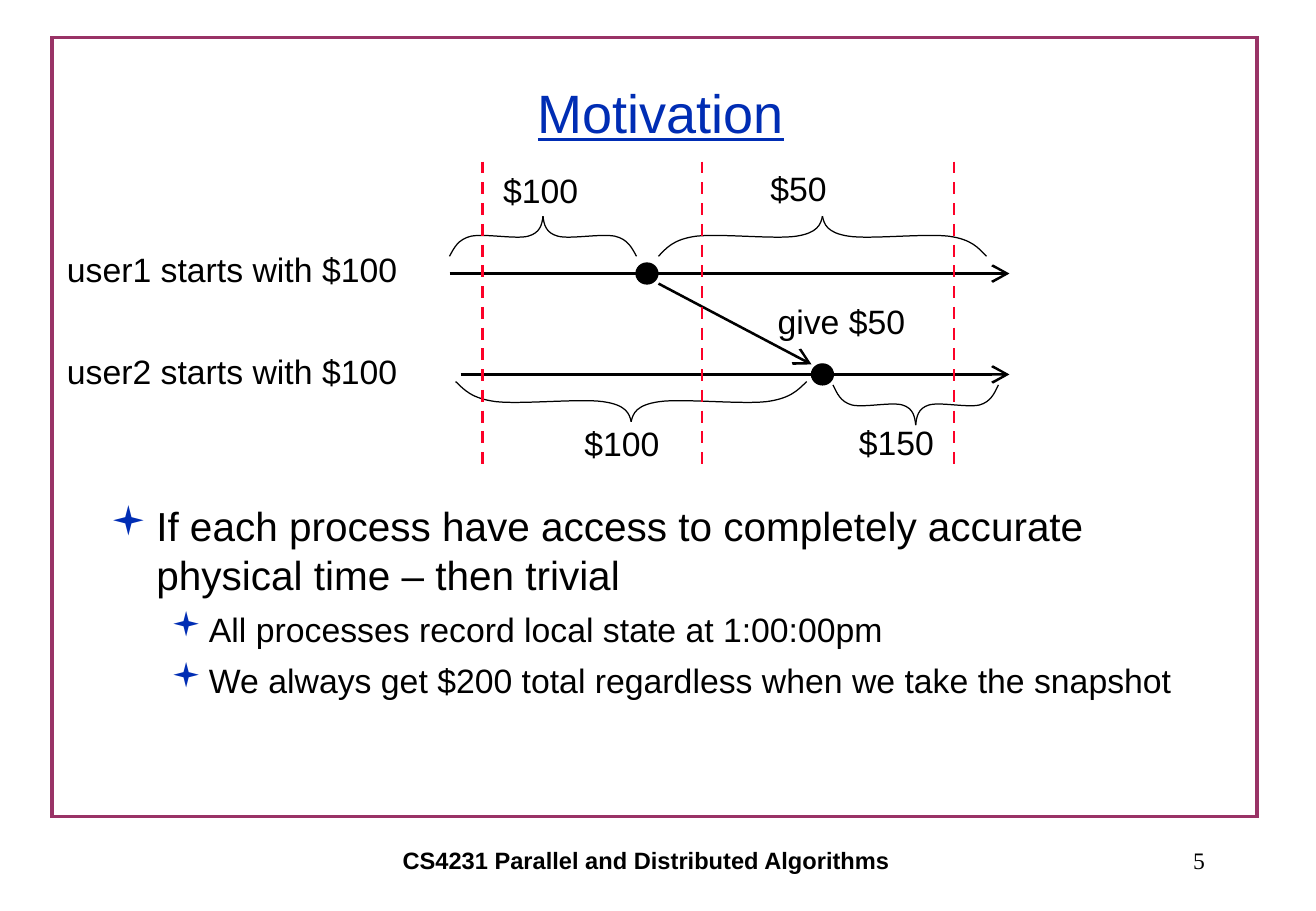
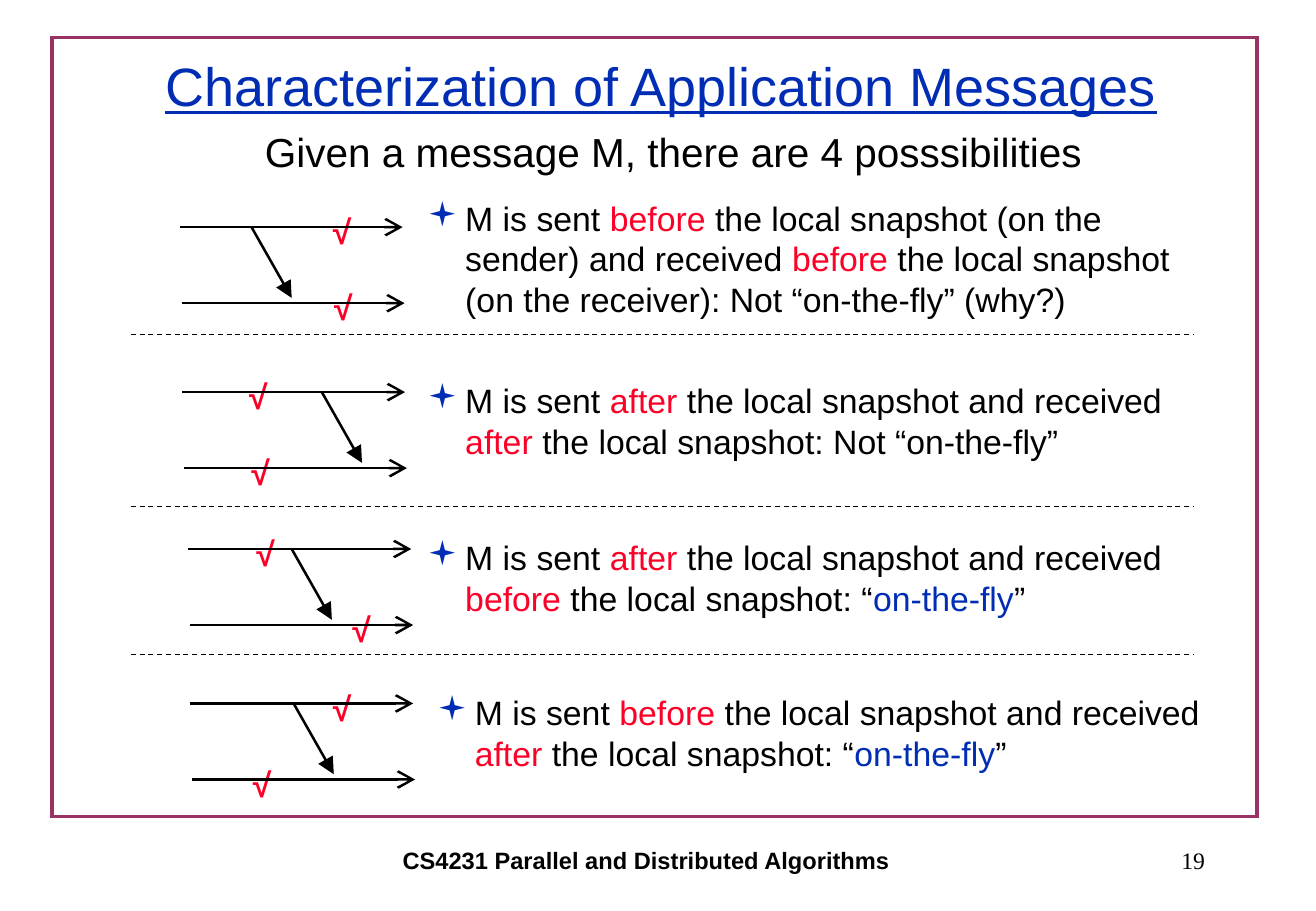
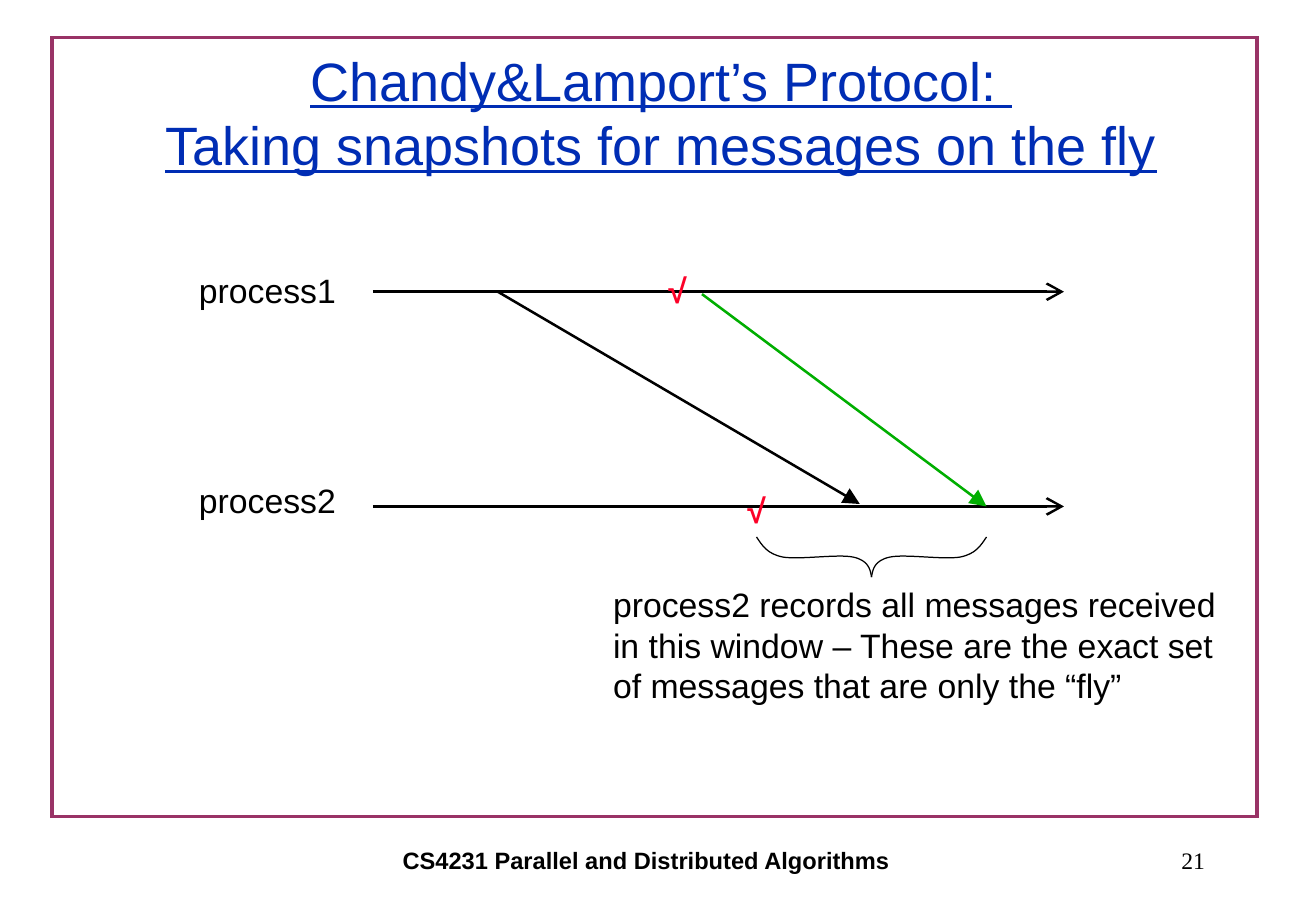
from pptx import Presentation
from pptx.dml.color import RGBColor
from pptx.enum.dml import MSO_LINE_DASH_STYLE as Dash
from pptx.enum.shapes import MSO_CONNECTOR as Connector, MSO_SHAPE as Shape
from pptx.enum.text import MSO_ANCHOR as Anchor, PP_ALIGN as Align
from pptx.oxml.ns import qn
from pptx.util import Cm, Pt
from lxml.etree import SubElement

COLORS = {
    "ink": "000000",
    "title": "002DB4",
    "frame": "993366",
    "red": "FC0128",
    "green": "00AE00",
}
COURSE = "CS4231 Parallel and Distributed Algorithms"
BRACE_HEIGHT = 0.84
HALF_BRACE = [
    (0, 0), (0.05, 0.21), (0.09, 0.42), (0.23, 0.5), (0.38, 0.57),
    (0.71, 0.42), (0.84, 0.5), (0.97, 0.58), (0.99, 0.79), (1, 1),
]


def color(name):
    return RGBColor.from_string(COLORS[name])


class Deck:
    def __init__(self):
        self.deck = Presentation()
        self.deck.slide_width, self.deck.slide_height = Cm(27.52), Cm(19.05)
        self.page = None

    def add_page(self, title, number, title_top=1.17):
        self.page = self.deck.slides.add_slide(self.deck.slide_layouts[6])
        frame = self.shape(Shape.RECTANGLE, 1.09, 0.79, 25.2, 16.28)
        frame.fill.background()
        self.stroke(frame.line, "frame", 2)
        SubElement(frame._element.spPr.find(qn("a:ln")), qn("a:miter")).set("lim", "800000")
        self.text(COURSE, 3.89, 17.35, 19.25, 1.27, size=14, bold=True,
                  align=Align.CENTER, anchor=Anchor.MIDDLE)
        self.text(str(number), 19.71, 17.35, 5.74, 1.27, size=14,
                  font="Times New Roman", align=Align.RIGHT, anchor=Anchor.MIDDLE)
        heading = self.text(title, 2.13, title_top, 23.39, 2.34, size=32, ink="title",
                            align=Align.CENTER, anchor=Anchor.MIDDLE)
        heading.font.underline = True

    def stroke(self, line, ink, width):
        line.color.rgb = color(ink)
        line.width = Pt(width)

    def shape(self, kind, left, top, width, height):
        shape = self.page.shapes.add_shape(kind, Cm(left), Cm(top), Cm(width), Cm(height))
        shape.shadow.inherit = False
        return shape

    def text_frame(self, left, top, width, height, anchor=Anchor.TOP):
        box = self.page.shapes.add_textbox(Cm(left), Cm(top), Cm(width), Cm(height))
        box.text_frame.word_wrap = True
        box.text_frame.vertical_anchor = anchor
        return box.text_frame

    def style(self, para, size, ink="ink", font="Arial", bold=False):
        para.font.name = font
        para.font.size = Pt(size)
        para.font.bold = bold
        para.font.color.rgb = color(ink)

    def text(self, words, left, top, width, height=1.09, size=20, ink="ink",
             font="Arial", bold=False, align=Align.LEFT, anchor=Anchor.TOP):
        para = self.text_frame(left, top, width, height, anchor).paragraphs[0]
        para.text = words
        para.alignment = align
        self.style(para, size, ink, font, bold)
        return para

    def bullets(self, items, left, top, width, height):
        frame = self.text_frame(left, top, width, height)
        for index, (level, spans) in enumerate(items):
            para = frame.add_paragraph() if index else frame.paragraphs[0]
            size, margin, hang = ((24, 0.96, 0.96), (20, 2.06, 0.79))[level]
            self.style(para, size)
            para.level = level
            para.space_before = Pt(6 if index else 0)
            properties = para._p.get_or_add_pPr()
            properties.set("marL", str(Cm(margin)))
            properties.set("indent", str(-Cm(hang)))
            mark = SubElement(properties, qn("a:buClr"))
            SubElement(mark, qn("a:srgbClr")).set("val", COLORS["title"])
            SubElement(properties, qn("a:buFont")).set("typeface", "Wingdings")
            SubElement(properties, qn("a:buChar")).set("char", "▪")
            properties.append(properties.find(qn("a:defRPr")))
            for words, ink in spans:
                span = para.add_run()
                span.text = words
                span.font.color.rgb = color(ink)

    def line(self, x1, y1, x2, y2, ink="ink", width=1.5, head=None, dashed=False):
        line = self.page.shapes.add_connector(
            Connector.STRAIGHT, Cm(x1), Cm(y1), Cm(x2), Cm(y2))
        self.stroke(line.line, ink, width)
        if dashed:
            line.line.dash_style = Dash.DASH
        properties = line._element.spPr
        if head:
            tail = SubElement(properties.find(qn("a:ln")), qn("a:tailEnd"))
            for key, value in (("type", head), ("w", "lg"), ("len", "lg")):
                tail.set(key, value)
        SubElement(properties, qn("a:effectLst"))

    def timeline(self, x, y, end):
        self.line(x, y, end, y, head="arrow")

    def event(self, x, y):
        dot = self.shape(Shape.OVAL, x - 0.23, y - 0.22, 0.46, 0.44)
        dot.fill.solid()
        dot.fill.fore_color.rgb = color("ink")
        self.stroke(dot.line, "ink", 0.75)

    def check(self, x, y):
        self.text("√", x, y, 1.15, ink="red", bold=True)

    def curve(self, points):
        builder = self.page.shapes.build_freeform(*points[0])
        builder.add_line_segments(points[1:], close=False)
        curve = builder.convert_to_shape()
        curve.shadow.inherit = False
        curve.fill.background()
        self.stroke(curve.line, "ink", 0.75)
        outline = next(curve._element.iter(qn("a:path")))
        segments = outline.findall(qn("a:lnTo"))
        for index, segment in enumerate(segments):
            if index % 3 == 0:
                bezier = SubElement(outline, qn("a:cubicBezTo"))
            bezier.append(segment[0])
            outline.remove(segment)

    def brace(self, start, end, y, rise):
        middle = (start + end) / 2
        for side in (start, end):
            self.curve([(Cm(side + (middle - side) * u), Cm(y + rise * v))
                        for u, v in HALF_BRACE])


def motivation(deck):
    deck.add_page("Motivation", 5)
    deck.bullets([
        (0, [("If each process have access to completely accurate physical time – then trivial", "ink")]),
        (1, [("All processes record local state at 1:00:00pm", "ink")]),
        (1, [("We always get $200 total regardless when we take the snapshot", "ink")]),
    ], 2.06, 10.36, 23.39, 4.65)
    deck.event(13.53, 5.72)
    deck.timeline(9.4, 5.72, 21.11)
    deck.event(17.2, 7.83)
    deck.timeline(9.63, 7.83, 21.11)
    deck.line(13.77, 5.93, 16.97, 7.62, head="arrow")
    for words, x, y, width in [
        ("user1 starts with $100", 1.15, 5.08, 8.03),
        ("user2 starts with $100", 1.15, 7.2, 8.03),
        ("give $50", 16.01, 6.17, 3.45),
        ("$100", 10.27, 3.43, 2.26),
        ("$50", 15.86, 3.38, 1.83),
        ("$100", 11.97, 8.71, 2.26),
        ("$150", 17.71, 8.69, 2.26),
    ]:
        deck.text(words, x, y, width)
    for start, end, y, direction in [
        (9.4, 13.31, 5.36, -1),
        (13.77, 20.63, 5.36, -1),
        (9.53, 16.87, 7.98, 1),
        (17.42, 20.88, 8.05, 1),
    ]:
        deck.brace(start, end, y, direction * BRACE_HEIGHT)
    for x in (10.08, 14.68, 19.95):
        deck.line(x, 3.38, x, 9.73, ink="red", width=1.75, dashed=True)


def message_cases(deck):
    deck.add_page("Characterization of Application Messages", 19, title_top=0.6)
    deck.text("Given a message M, there are 4 posssibilities", 5.29, 2.54, 18.21, 2.34, size=24)
    for x, y, sent, checks, text_x, text_y, spans in [
        (3.76, 4.75, 1.5, (6.71, 6.74), 7.42, 4.01, [
            ("M is sent ", "ink"), ("before", "red"),
            (" the local snapshot (on the sender) and received ", "ink"), ("before", "red"),
            (" the local snapshot (on the receiver): Not “on-the-fly” (why?)", "ink")]),
        (3.81, 8.2, 2.92, (4.96, 5.01), 7.42, 7.82, [
            ("M is sent ", "ink"), ("after", "red"),
            (" the local snapshot and received ", "ink"), ("after", "red"),
            (" the local snapshot: Not “on-the-fly”", "ink")]),
        (3.94, 11.48, 2.16, (5.11, 7.12), 7.42, 11.1, [
            ("M is sent ", "ink"), ("after", "red"),
            (" the local snapshot and received ", "ink"), ("before", "red"),
            (" the local snapshot: “", "ink"), ("on-the-fly", "title"), ("”", "ink")]),
        (3.98, 14.71, 2.16, (6.71, 5.04), 7.62, 14.35, [
            ("M is sent ", "ink"), ("before", "red"),
            (" the local snapshot and received ", "ink"), ("after", "red"),
            (" the local snapshot: “", "ink"), ("on-the-fly", "title"), ("”", "ink")]),
    ]:
        deck.line(x + sent, y, x + sent + 0.84, y + 1.48, head="triangle")
        for row, check_x in enumerate(checks):
            start, row_y = x + 0.04 * row, y + 1.59 * row
            deck.check(check_x, row_y - 0.46)
            deck.timeline(start, row_y, start + 4.66)
        deck.bullets([(1, spans)], text_x, text_y, 17.78, 2.34)
    for y in (6.99, 10.59, 13.69):
        deck.line(2.74, y, 24.97, y, width=0.75, dashed=True)


def snapshot_protocol(deck):
    deck.add_page("Chandy&Lamport’s Protocol: \vTaking snapshots for messages on the fly", 21)
    for name, label_y, y in [("process1", 5.51, 6.1), ("process2", 9.91, 10.59)]:
        deck.text(name, 3.91, label_y, 3.66)
        deck.timeline(7.8, y, 22.25)
    deck.line(10.41, 6.1, 17.98, 10.54, head="triangle")
    deck.line(14.68, 6.15, 20.63, 10.59, ink="green", head="triangle")
    deck.check(13.73, 5.51)
    deck.check(15.38, 10.11)
    deck.brace(15.82, 20.63, 11.23, BRACE_HEIGHT)
    deck.text("process2 records all messages received in this window – "
              "These are the exact set of messages that are only the “fly”",
              12.57, 12.09, 13.36, 3.63)


def main():
    deck = Deck()
    motivation(deck)
    message_cases(deck)
    snapshot_protocol(deck)
    deck.deck.save("out.pptx")


if __name__ == "__main__":
    main()
